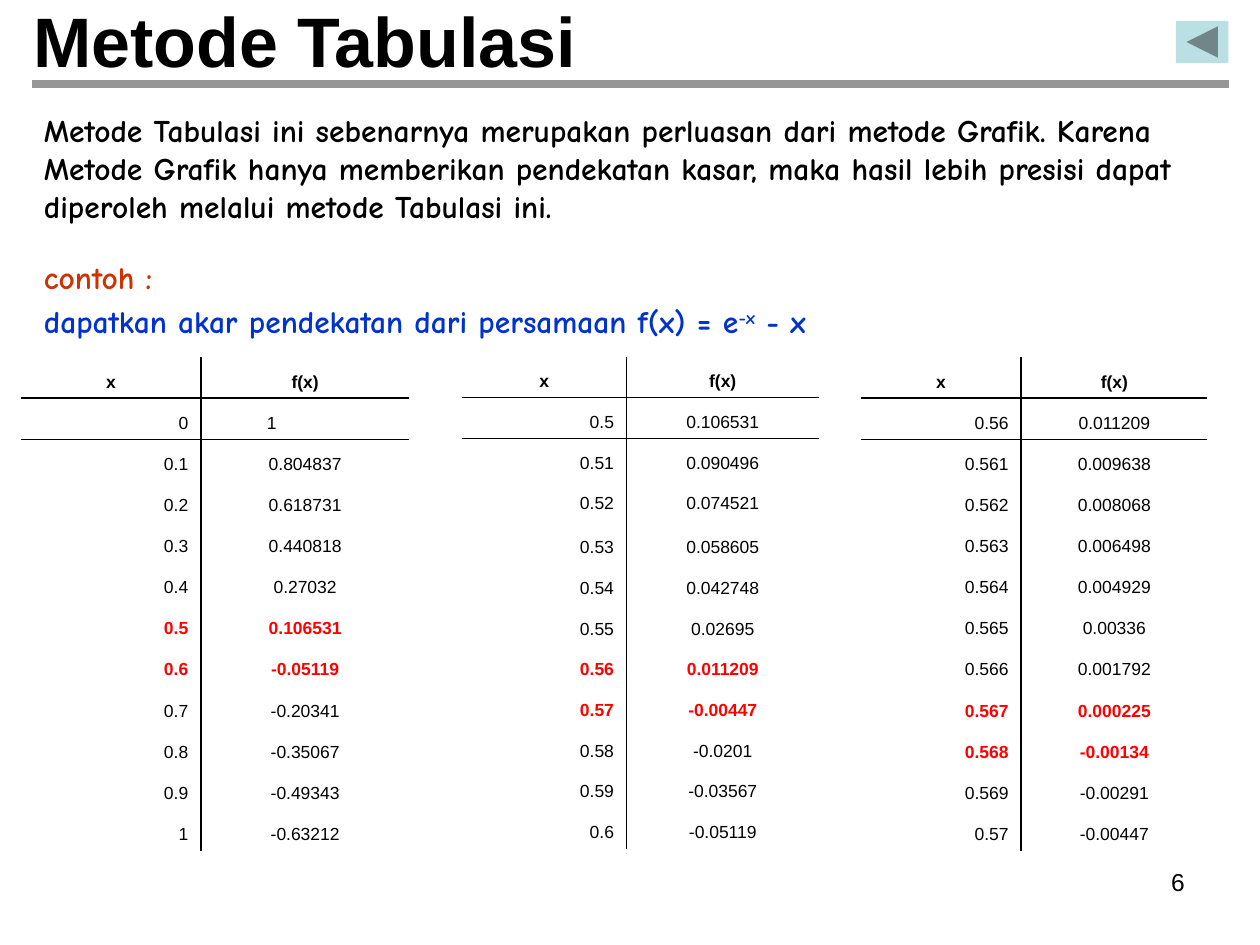
from dataclasses import dataclass

from lxml.etree import SubElement
from pptx import Presentation
from pptx.dml.color import RGBColor
from pptx.enum.shapes import MSO_CONNECTOR, MSO_SHAPE
from pptx.enum.text import MSO_ANCHOR, PP_ALIGN
from pptx.oxml.ns import qn
from pptx.util import Pt


@dataclass(frozen=True)
class Theme:
    """Colours, fonts and type sizes of the slide."""
    black: str = "000000"
    rule: str = "969696"
    example: str = "CC3300"
    question: str = "0033CC"
    root: str = "FF0000"
    button: str = "BBE0E3"
    sans: str = "Arial"
    hand: str = "Comic Neue"
    title: float = 40
    body: float = 18
    number: float = 14
    cell: float = 10


THEME = Theme()
NO_STYLE = "{2D5ABB26-0587-4C30-8999-92F81FD0307C}"
INTRO = (
    "Metode Tabulasi ini sebenarnya merupakan perluasan dari metode Grafik. "
    "Karena Metode Grafik hanya memberikan pendekatan kasar, maka hasil lebih "
    "presisi dapat diperoleh melalui metode Tabulasi ini."
)
COARSE = ["1", "0.804837", "0.618731", "0.440818", "0.27032", "0.106531",
          "-0.05119", "-0.20341", "-0.35067", "-0.49343", "-0.63212"]
MEDIUM = ["0.106531", "0.090496", "0.074521", "0.058605", "0.042748", "0.02695",
          "0.011209", "-0.00447", "-0.0201", "-0.03567", "-0.05119"]
FINE = ["0.011209", "0.009638", "0.008068", "0.006498", "0.004929", "0.00336",
        "0.001792", "0.000225", "-0.00134", "-0.00291", "-0.00447"]


def write(p, text, size=THEME.body, font=THEME.hand, color=THEME.black,
          bold=True, align=PP_ALIGN.LEFT, baseline=0):
    """Append a formatted run to a paragraph."""
    p.alignment = align
    r = p.add_run()
    r.text = text
    r.font.size = Pt(size)
    r.font.name = font
    r.font.bold = bold
    r.font.color.rgb = RGBColor.from_string(color)
    if baseline:
        r._r.get_or_add_rPr().set("baseline", str(baseline * 1000))


def add_box(s, left, top, width, height, anchor=MSO_ANCHOR.TOP):
    """Add a wrapping text box and return its text frame."""
    tf = s.shapes.add_textbox(Pt(left), Pt(top), Pt(width), Pt(height)).text_frame
    tf.word_wrap = True
    tf.vertical_anchor = anchor
    return tf


def add_rule(s, left, right, y):
    """Draw the thick line under the title."""
    line = s.shapes.add_connector(MSO_CONNECTOR.STRAIGHT, Pt(left), Pt(y), Pt(right), Pt(y))
    line.line.color.rgb = RGBColor.from_string(THEME.rule)
    line.line.width = Pt(4.5)
    SubElement(line._element.spPr, qn("a:effectLst"))


def add_back_button(s, left, top, width, height):
    """Add the back button at the top right."""
    sp = s.shapes.add_shape(MSO_SHAPE.ACTION_BUTTON_BACK_OR_PREVIOUS,
                            Pt(left), Pt(top), Pt(width), Pt(height))
    sp.shadow.inherit = False
    sp.fill.solid()
    sp.fill.fore_color.rgb = RGBColor.from_string(THEME.button)
    sp.line.fill.background()


def set_borders(cell, *sides):
    """Draw a thin black line on the given sides of a cell."""
    for side in sides:
        ln = SubElement(cell._tc.get_or_add_tcPr(), qn(f"a:ln{side}"), w=str(Pt(1)))
        fill = SubElement(ln, qn("a:solidFill"))
        SubElement(fill, qn("a:srgbClr"), val=THEME.black)


def fill_cell(cell, text, sides, **fmt):
    """Write one table cell with its borders."""
    set_borders(cell, *sides)
    cell.fill.background()
    cell.vertical_anchor = MSO_ANCHOR.BOTTOM
    write(cell.text_frame.paragraphs[0], text, size=THEME.cell, font=THEME.sans, **fmt)


def add_values(s, left, widths, heights, start, step, values):
    """Add a table of x and f(x) with the two rows around the root in red."""
    frame = s.shapes.add_table(len(values) + 1, 2, Pt(left), Pt(204),
                               Pt(sum(widths)), Pt(sum(heights)))
    table = frame.table
    table.first_row = table.horz_banding = False
    table._tbl.tblPr.find(qn("a:tableStyleId")).text = NO_STYLE
    for column, width in zip(table.columns, widths):
        column.width = Pt(width)
    for row, height in zip(table.rows, heights):
        row.height = Pt(height)
    for col, label in enumerate(("x", "f(x)")):
        fill_cell(table.cell(0, col), label, ("RB", "LB")[col], align=PP_ALIGN.CENTER)
    first_negative = next(i for i, v in enumerate(values) if v.startswith("-"))
    for i, value in enumerate(values):
        near_root = i in (first_negative - 1, first_negative)
        fmt = {"bold": near_root, "color": THEME.root if near_root else THEME.black}
        top = "T" if i == 0 else ""
        fill_cell(table.cell(i + 1, 0), f"{start + i * step:g}", "R" + top,
                  align=PP_ALIGN.RIGHT, **fmt)
        fill_cell(table.cell(i + 1, 1), value, "L" + top, align=PP_ALIGN.CENTER, **fmt)
    return table


def main():
    """Build the slide and save it."""
    prs = Presentation()
    prs.slide_width, prs.slide_height = Pt(720), Pt(540)
    s = prs.slides.add_slide(prs.slide_layouts[6])

    number = add_box(s, 516, 492, 168, 37.5)
    write(number.paragraphs[0], "6", size=THEME.number, font=THEME.sans,
          bold=False, align=PP_ALIGN.RIGHT)
    title = add_box(s, 12, 0, 648, 45, MSO_ANCHOR.MIDDLE)
    write(title.paragraphs[0], "Metode Tabulasi", size=THEME.title, font=THEME.sans)
    add_rule(s, 18, 702, 48)
    add_back_button(s, 672, 12, 30, 24)

    write(add_box(s, 18, 60, 684, 78).paragraphs[0], INTRO)
    example = add_box(s, 18, 144, 678, 60)
    write(example.paragraphs[0], "contoh :", color=THEME.example)
    p = example.add_paragraph()
    p.space_before = Pt(3.6)
    for text, baseline in (("dapatkan akar pendekatan dari persamaan f(x) = e", 0),
                           ("-x", 30), (" - x", 0)):
        write(p, text, color=THEME.question, baseline=baseline)

    even = [23.5] * 12
    coarse = add_values(s, 12, (102.75, 119.25), even, 0, 0.1, COARSE)
    one = coarse.cell(1, 1)
    one.margin_left = Pt(37.75)
    one.text_frame.paragraphs[0].alignment = PP_ALIGN.LEFT
    add_values(s, 264, (94, 110), [23.3] * 4 + [25] + [23.3] * 7, 0.5, 0.01, MEDIUM)
    add_values(s, 492, (91.5, 106.5), even, 0.56, 0.001, FINE)
    prs.save("out.pptx")


if __name__ == "__main__":
    main()
